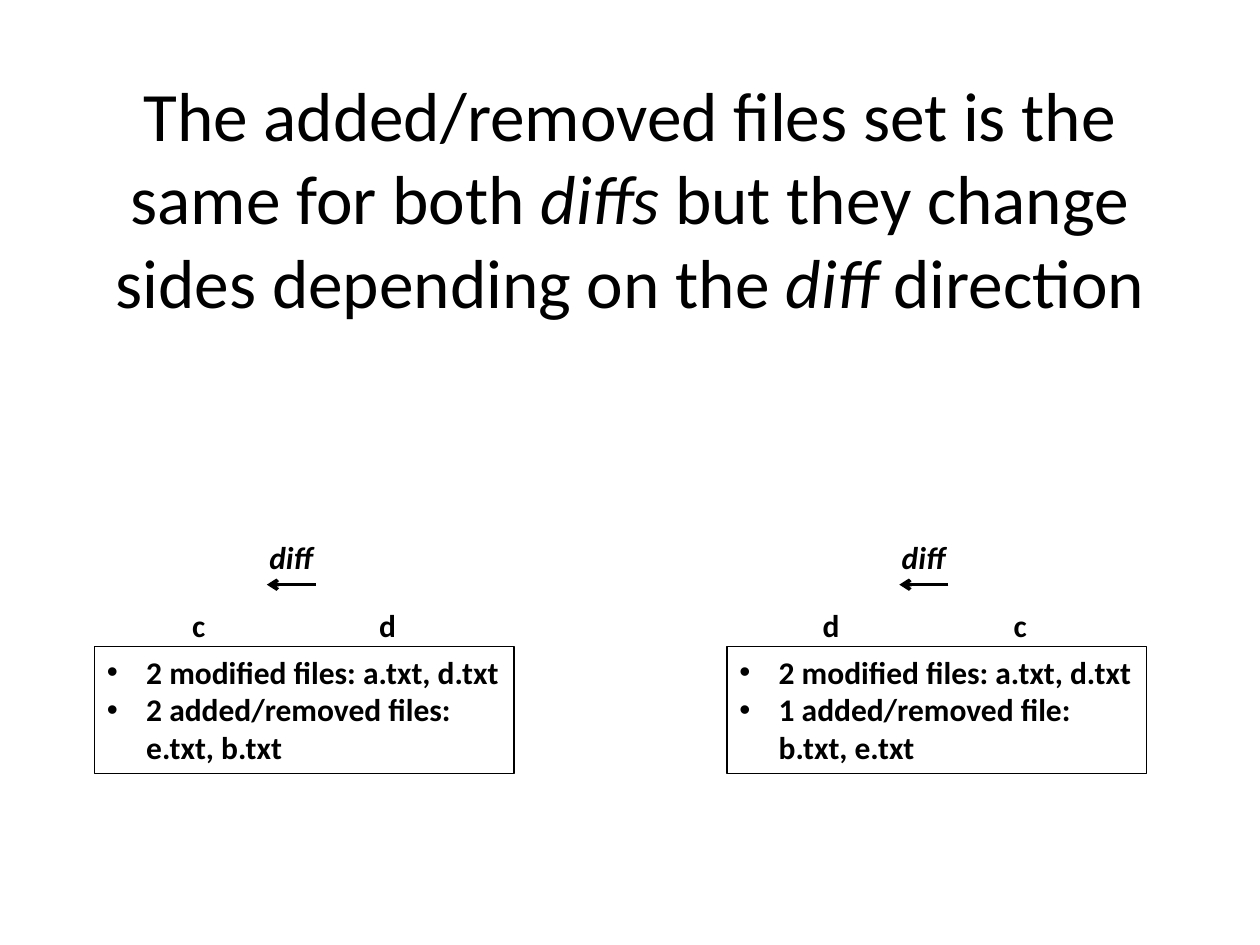
import pptx
import pptx.dml.color
import pptx.enum.shapes
import pptx.enum.text
import pptx.oxml
import pptx.oxml.ns
import pptx.util
from lxml import etree

Pt = pptx.util.Pt
ALIGN = pptx.enum.text.PP_ALIGN
ANCHOR = pptx.enum.text.MSO_ANCHOR
AUTO_SIZE = pptx.enum.text.MSO_AUTO_SIZE
BLACK = "000000"
LABEL = {"name": "Calibri", "size": Pt(18), "bold": True}
TITLE = {"name": "Calibri", "size": Pt(39.6)}
INDENT = Pt(22.5)


def color(value):
    return pptx.dml.color.RGBColor.from_string(value)


def add_child(parent, tag, **attributes):
    return etree.SubElement(parent, pptx.oxml.ns.qn(tag), attributes)


def set_values(target, values):
    for name, value in values.items():
        setattr(target, name, value)


def add_run(paragraph, text, values):
    run = paragraph.add_run()
    run.text = text
    set_values(run.font, values)
    run.font.color.rgb = color(BLACK)


def add_text_box(slide, left, top, width, height, runs, frame_values):
    shape = slide.shapes.add_textbox(Pt(left), Pt(top), Pt(width), Pt(height))
    set_values(shape.text_frame, {"word_wrap": True, **frame_values})
    paragraph = shape.text_frame.paragraphs[0]
    paragraph.alignment = ALIGN.CENTER
    for text, values in runs:
        add_run(paragraph, text, values)


def add_title(slide, left, top, width, height):
    italic = {**TITLE, "italic": True}
    runs = [
        ("The added/removed files set is the same for both ", TITLE),
        ("diffs", italic),
        (" but they change sides depending on the ", TITLE),
        ("diff", italic),
        (" direction", TITLE),
    ]
    add_text_box(slide, left, top, width, height, runs,
                 {"vertical_anchor": ANCHOR.MIDDLE})


def add_arrow(slide, start, end, y):
    arrow = slide.shapes.add_connector(
        pptx.enum.shapes.MSO_CONNECTOR.STRAIGHT, Pt(start), Pt(y), Pt(end), Pt(y))
    arrow.line.color.rgb = color(BLACK)
    arrow.line.width = Pt(2)
    add_child(arrow.line._get_or_add_ln(), "a:tailEnd", type="arrow")
    add_child(arrow._element.spPr, "a:effectLst")


def add_file_list(slide, left, top, width, height, items):
    shape = slide.shapes.add_shape(
        pptx.enum.shapes.MSO_SHAPE.RECTANGLE, Pt(left), Pt(top), Pt(width), Pt(height))
    shape.shadow.inherit = False
    shape.fill.background()
    shape.line.color.rgb = color(BLACK)
    shape.line.width = Pt(0.75)
    frame = shape.text_frame
    set_values(frame, {"word_wrap": True, "vertical_anchor": ANCHOR.TOP,
                       "auto_size": AUTO_SIZE.SHAPE_TO_FIT_TEXT})
    for index, item in enumerate(items):
        paragraph = frame.add_paragraph() if index else frame.paragraphs[0]
        paragraph.alignment = ALIGN.LEFT
        properties = paragraph._p.get_or_add_pPr()
        properties.set("marL", str(INDENT))
        properties.set("indent", str(-INDENT))
        add_child(properties, "a:buFont", typeface="Arial")
        add_child(properties, "a:buChar", char="•")
        add_run(paragraph, item, LABEL)


def add_diff_panel(slide, left, top, width, height, sides, items):
    labels = [
        (34, 39, 51, sides[0], LABEL),
        (119.5, 39, 96, sides[1], LABEL),
        (88.5, 0, 47.5, "diff", {**LABEL, "italic": True}),
    ]
    for x, y, label_width, text, values in labels:
        add_text_box(slide, left + x, top + y, label_width, 29, [(text, values)],
                     {"auto_size": AUTO_SIZE.SHAPE_TO_FIT_TEXT})
    add_arrow(slide, left + 126.5, left + 98.5, top + 30.2)
    list_top = 65.5
    add_file_list(slide, left, top + list_top, width, height - list_top, items)


def main():
    presentation = pptx.Presentation()
    presentation.slide_width = Pt(720)
    presentation.slide_height = Pt(540)
    slide = presentation.slides.add_slide(presentation.slide_layouts[6])
    add_title(slide, 36, 21.6, 648, 182.2)
    panels = [
        ("cd", "2 added/removed files: e.txt, b.txt"),
        ("dc", "1 added/removed file: b.txt, e.txt"),
    ]
    for index, (sides, added) in enumerate(panels):
        add_diff_panel(slide, 54 + 361.4 * index, 303.9, 239.8, 138.2, sides,
                       ["2 modified files: a.txt, d.txt", added])
    presentation.save("out.pptx")


if __name__ == "__main__":
    main()
